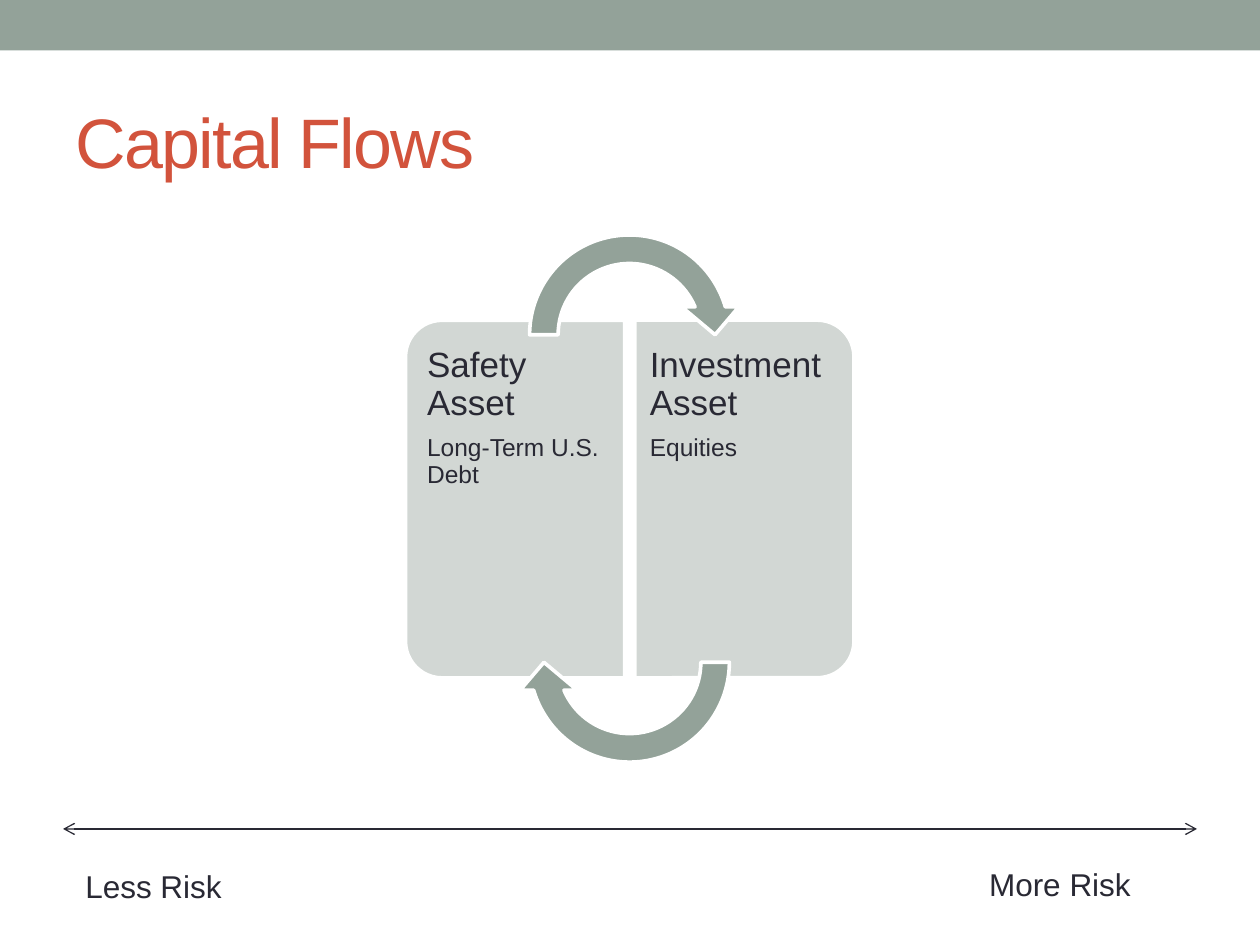
from dataclasses import dataclass

from pptx import Presentation
from pptx.dml.color import RGBColor
from pptx.enum.shapes import MSO_CONNECTOR, MSO_SHAPE
from pptx.enum.text import MSO_ANCHOR, MSO_AUTO_SIZE, PP_ALIGN
from pptx.oxml.ns import qn
from pptx.shapes.autoshape import Shape
from pptx.slide import Slide
from pptx.text.text import _Paragraph as Paragraph
from pptx.util import Cm, Pt
from lxml.etree import SubElement

SAGE = "93A299"
PALE_SAGE = "D2D7D4"
RUST = "D2533C"
INK = "292934"
WHITE = "FFFFFF"
FONT = "Arial"
ARROW_ADJUSTMENTS = (0.125, 11.423, 204.577, 108, 0.125)


@dataclass(frozen=True)
class Frame:
    left: float
    top: float
    width: float
    height: float

    def lengths(self) -> tuple[Cm, Cm, Cm, Cm]:
        return Cm(self.left), Cm(self.top), Cm(self.width), Cm(self.height)


@dataclass(frozen=True)
class Asset:
    heading: str
    example: str
    panel_left: float
    text_left: float
    rotation: int
    inset_left: float
    inset_right: float


@dataclass(frozen=True)
class RiskLabel:
    text: str
    left: float
    top: float


ASSETS = (
    Asset("Safety Asset", "Long-Term U.S. Debt", 6.78, 8.41, 270, 0.2, 0.3),
    Asset("Investment Asset", "Equities", 11.4, 12.8, 90, 0.3, 0.2),
)
RISK_LABELS = (
    RiskLabel("Less Risk", 1.47, 17.35),
    RiskLabel("More Risk", 19.69, 17.32),
)


def color(value: str) -> RGBColor:
    return RGBColor.from_string(value)


def format_text(para: Paragraph, size: float, ink: str) -> None:
    for span in para.runs:
        span.font.name = FONT
        span.font.size = Pt(size)
        span.font.color.rgb = color(ink)


def add_filled_shape(
    page: Slide,
    kind: MSO_SHAPE,
    frame: Frame,
    fill: str,
    adjustments: tuple[float, ...] = (),
    rotation: int = 0,
    outline: str | None = None,
) -> Shape:
    shape = page.shapes.add_shape(kind, *frame.lengths())
    shape.shadow.inherit = False
    shape.rotation = rotation
    shape.fill.solid()
    shape.fill.fore_color.rgb = color(fill)
    if outline:
        shape.line.color.rgb = color(outline)
        shape.line.width = Pt(2.08)
    else:
        shape.line.fill.background()
    for index, value in enumerate(adjustments):
        shape.adjustments[index] = value
    return shape


def add_title(page: Slide, text: str) -> None:
    title = page.shapes.title
    title.left, title.top, title.width, title.height = Frame(1.27, 1.47, 22.86, 2.74).lengths()
    text_frame = title.text_frame
    text_frame.text = text
    text_frame.auto_size = MSO_AUTO_SIZE.NONE
    text_frame.vertical_anchor = MSO_ANCHOR.MIDDLE
    para = text_frame.paragraphs[0]
    para.alignment = PP_ALIGN.LEFT
    format_text(para, 40, RUST)
    for span in para.runs:
        span.font._element.set("spc", "-100")


def add_asset(page: Slide, asset: Asset) -> None:
    add_filled_shape(
        page,
        MSO_SHAPE.ROUND_2_SAME_RECTANGLE,
        Frame(asset.panel_left, 7.85, 7.21, 4.42),
        PALE_SAGE,
        (0.167, 0),
        asset.rotation,
        WHITE,
    )
    box = page.shapes.add_textbox(*Frame(asset.text_left, 6.65, 4.19, 6.78).lengths())
    text_frame = box.text_frame
    text_frame.word_wrap = True
    text_frame.margin_left = Cm(asset.inset_left)
    text_frame.margin_right = Cm(asset.inset_right)
    text_frame.margin_top = text_frame.margin_bottom = Cm(0.36)
    text_frame.text = f"{asset.heading}\n{asset.example}"
    for para, size in zip(text_frame.paragraphs, (20, 14)):
        para.line_spacing = 0.9
        para.space_after = Pt(size * 0.35)
        format_text(para, size, INK)


def add_flow_arrow(page: Slide, top: float, rotation: int) -> None:
    add_filled_shape(
        page,
        MSO_SHAPE.CIRCULAR_ARROW,
        Frame(10.39, top, 4.6, 4.6),
        SAGE,
        ARROW_ADJUSTMENTS,
        rotation,
        WHITE,
    )


def add_risk_axis(page: Slide) -> None:
    axis = page.shapes.add_connector(
        MSO_CONNECTOR.STRAIGHT, Cm(1.27), Cm(16.71), Cm(24.13), Cm(16.71)
    )
    axis.line.color.rgb = color(INK)
    axis.line.width = Pt(0.75)
    outline = axis.line._get_or_add_ln()
    for end in ("a:headEnd", "a:tailEnd"):
        SubElement(outline, qn(end), type="arrow")
    SubElement(axis._element.spPr, qn("a:effectLst"))


def add_risk_label(page: Slide, label: RiskLabel) -> None:
    box = page.shapes.add_textbox(*Frame(label.left, label.top, 5.51, 1.07).lengths())
    text_frame = box.text_frame
    text_frame.word_wrap = True
    text_frame.auto_size = MSO_AUTO_SIZE.SHAPE_TO_FIT_TEXT
    text_frame.text = label.text
    format_text(text_frame.paragraphs[0], 18, INK)


def main() -> None:
    deck = Presentation()
    deck.slide_width, deck.slide_height = Cm(25.4), Cm(19.05)
    page = deck.slides.add_slide(deck.slide_layouts[5])
    add_filled_shape(page, MSO_SHAPE.RECTANGLE, Frame(0, 0, 25.4, 1.02), SAGE)
    add_title(page, "Capital Flows")
    for asset in ASSETS:
        add_asset(page, asset)
    for top, rotation in ((4.45, 0), (11.05, 180)):
        add_flow_arrow(page, top, rotation)
    add_risk_axis(page)
    for label in RISK_LABELS:
        add_risk_label(page, label)
    deck.save("out.pptx")


if __name__ == "__main__":
    main()
